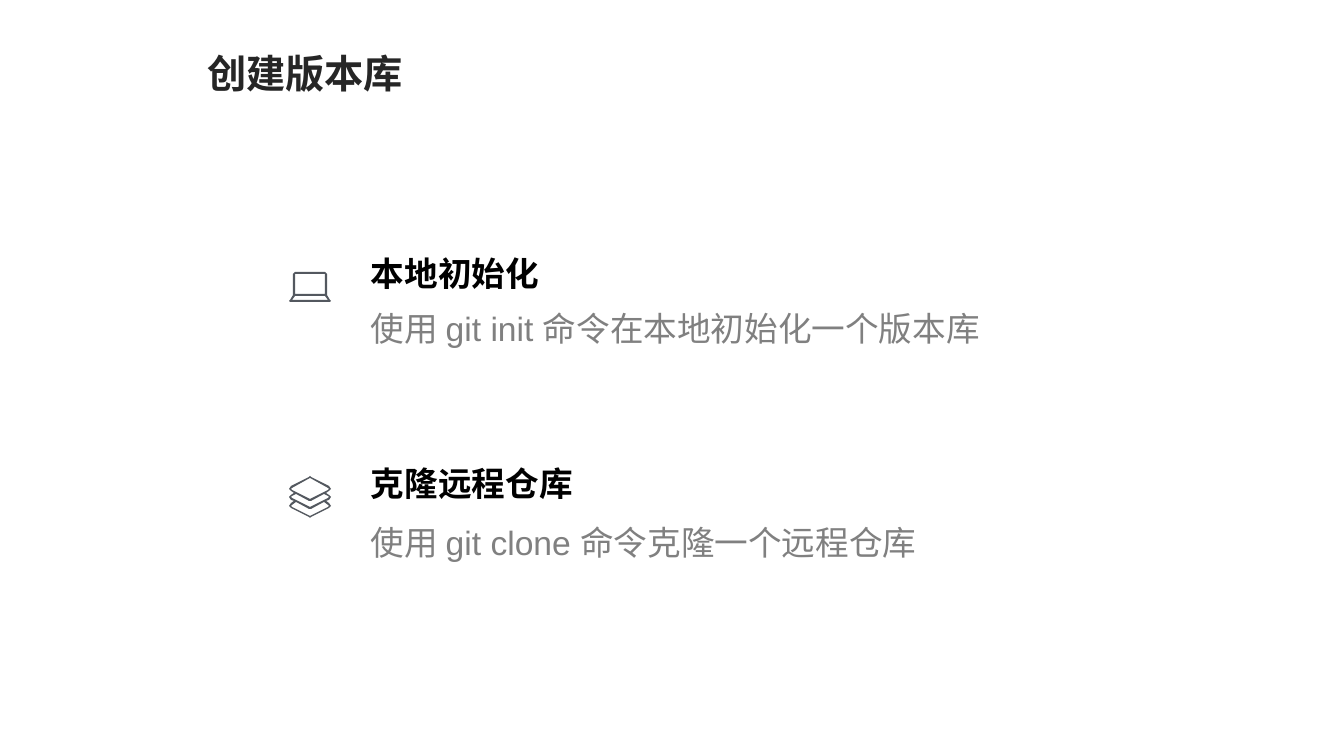
from pptx import Presentation
from pptx import util as u
from pptx.dml.color import RGBColor
from pptx.enum import text

PX = 914400 / 100.8
FONT = "Arial"
DARK = RGBColor(0x26, 0x26, 0x26)
BLACK = RGBColor(0, 0, 0)
GREY = RGBColor(0x80, 0x80, 0x80)
SLATE = RGBColor(0x53, 0x58, 0x5F)

# Left halves of the icon outlines, top to bottom; the rest is mirrored
WIDE = 42
LAPTOP = [
    [(6, 0), (4, 2), (4, 23), (1, 28), (0, 29), (1, 30)],
    [(6, 2), (6, 22)],
    [(6, 24), (3, 28)],
]
LAYERS = [
    [(21, 0), (20, 1), (2, 10), (0, 13), (2, 15), (5, 17), (2, 19), (0, 21),
     (2, 24), (5, 25), (2, 27), (0, 30), (2, 32), (20, 41), (21, 42)],
    [(21, 2), (3, 12), (2, 13), (3, 14), (21, 23)],
    [(20, 25), (7, 18), (3, 20), (2, 21), (3, 22), (21, 31)],
    [(20, 33), (7, 26), (3, 29), (2, 30), (3, 31), (21, 40)],
]

# Icon, icon top, heading, heading top, detail, detail top, detail width
ITEMS = [
    (LAPTOP, 272, "本地初始化", 240,
     "使用 git init 命令在本地初始化一个版本库", 295, 686),
    (LAYERS, 476, "克隆远程仓库", 450,
     "使用 git clone 命令克隆一个远程仓库", 509, 669),
]


def px(n):
    return u.Emu(round(n * PX))


def place(shape, x, y, w, h):
    shape.left, shape.top, shape.width, shape.height = map(px, (x, y, w, h))


def write(shape, words, size, color, bold, wrap=True):
    frame = shape.text_frame
    frame.text = words
    frame.word_wrap = wrap
    frame.auto_size = text.MSO_AUTO_SIZE.SHAPE_TO_FIT_TEXT
    frame.vertical_anchor = text.MSO_ANCHOR.TOP
    para = frame.paragraphs[0]
    para.alignment = text.PP_ALIGN.LEFT
    for run in para.runs:
        run.font.name = FONT
        run.font.size = u.Pt(size)
        run.font.bold = bold
        run.font.color.rgb = color
    return para


def title(slide, words):
    shape = slide.shapes.title
    place(shape, 197, 44, 219, 57)
    write(shape, words, 28, DARK, True, wrap=False)


def label(group, words, top, wide, high, color, bold):
    box = group.shapes.add_textbox(px(361), px(top), px(wide), px(high))
    para = write(box, words, 24, color, bold)
    para.alignment = text.PP_ALIGN.JUSTIFY
    para.line_spacing = 1.2


def icon(slide, halves, x, y):
    pen = None
    for half in halves:
        ring = half + [(WIDE - a, b) for a, b in reversed(half)]
        if pen is None:
            pen = slide.shapes.build_freeform(*ring[0], scale=PX)
        else:
            pen.move_to(*ring[0])
        pen.add_line_segments(ring[1:], close=True)
    shape = pen.convert_to_shape(px(x), px(y))
    shape.shadow.inherit = False
    shape.fill.solid()
    shape.fill.fore_color.rgb = SLATE
    shape.line.fill.background()


def main():
    deck = Presentation()
    deck.slide_width, deck.slide_height = u.Inches(13.33), u.Inches(7.5)
    slide = deck.slides.add_slide(deck.slide_layouts[5])

    # Title
    title(slide, "创建版本库")

    # Two ways to create a repository
    for art, mark, head, top, note, base, wide in ITEMS:
        icon(slide, art, 289, mark)
        group = slide.shapes.add_group_shape()
        label(group, note, base, wide, 59, GREY, False)
        label(group, head, top, 230, 54, BLACK, True)

    deck.save("out.pptx")


main()
